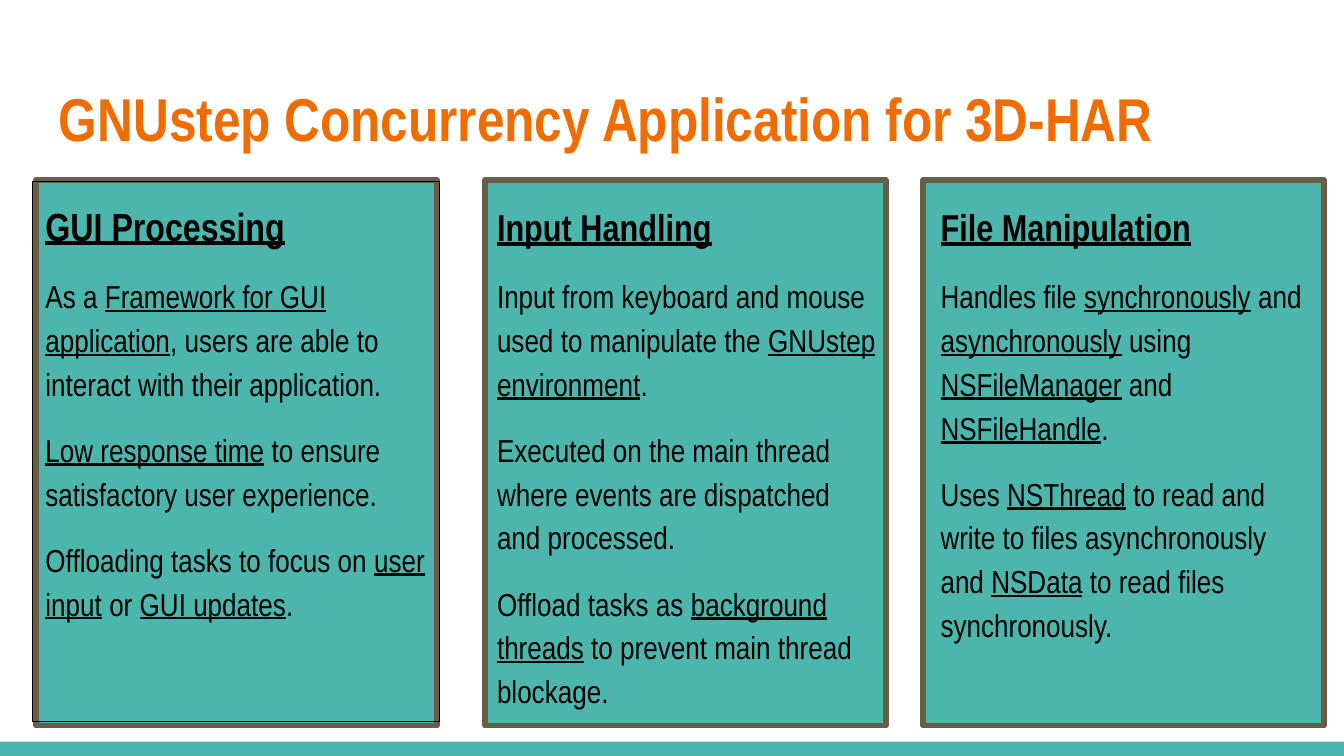
"""Build the slide on GNUstep concurrency for 3D-HAR."""
from pptx import Presentation
from pptx import util as u
from pptx.dml.color import RGBColor
from pptx.enum import shapes, text

Pt = u.Pt
TEAL = RGBColor(0x4D, 0xB6, 0xAC)
ORANGE = RGBColor(0xEF, 0x6C, 0x00)
BROWN = RGBColor(0x69, 0x5D, 0x46)
BLACK = RGBColor(0, 0, 0)
FONT = "Arial Narrow"

TOPICS = [
    (19.4, (17.3, 97.2, 218.2, 289.4), "GUI Processing", 21, [
        "As a _Framework for GUI application_, users are able to interact with their application.",
        "_Low response time_ to ensure satisfactory user experience.",
        "Offloading tasks to focus on _user input_ or _GUI updates_.",
    ]),
    (259.9, (259.2, 98.6, 218.2, 288.7), "Input Handling", 20, [
        "Input from keyboard and mouse used to manipulate the _GNUstep environment_.",
        "Executed on the main thread where events are dispatched and processed.",
        "Offload tasks as _background threads_ to prevent main thread blockage.",
    ]),
    (494.6, (496.8, 98.6, 211, 253.4), "File Manipulation", 20, [
        "Handles file _synchronously_ and _asynchronously_ using _NSFileManager_ and _NSFileHandle_.",
        "Uses _NSThread_ to read and write to files asynchronously and _NSData_ to read files synchronously.",
    ]),
]


def add_panel(left, top, width, height):
    panel = slide.shapes.add_shape(shapes.MSO_SHAPE.RECTANGLE, Pt(left), Pt(top), Pt(width), Pt(height))
    panel.shadow.inherit = False
    panel.fill.solid()
    panel.fill.fore_color.rgb = TEAL
    panel.line.fill.background()
    return panel


def add_text(left, top, width, height):
    box = slide.shapes.add_textbox(Pt(left), Pt(top), Pt(width), Pt(height))
    frame = box.text_frame
    frame.word_wrap = True
    frame.margin_left = frame.margin_right = frame.margin_top = frame.margin_bottom = Pt(7.2)
    return box


prs = Presentation()
prs.slide_width, prs.slide_height = Pt(720), Pt(405)
slide = prs.slides.add_slide(prs.slide_layouts[6])

add_panel(0, 397.4, 720, 7.6)

title = add_text(24.5, 35.3, 671, 55.4).text_frame
title.vertical_anchor = text.MSO_ANCHOR.MIDDLE
heading = title.paragraphs[0]
heading.text = "GNUstep Concurrency Application for 3D-HAR"
heading.font.name, heading.font.size, heading.font.bold = FONT, Pt(32.4), True
heading.font.color.rgb = ORANGE

for card_left, text_area, topic, topic_size, points in TOPICS:
    card = add_panel(card_left, 96.5, 214.6, 292.3)
    card.line.color.rgb = BROWN
    card.line.width = Pt(3)

    body = add_text(*text_area)
    if topic == "GUI Processing":
        body.line.color.rgb = BLACK
        body.line.width = Pt(0.75)

    heading = body.text_frame.paragraphs[0]
    heading.text = topic
    heading.line_spacing = 1.15
    heading.font.name, heading.font.size = FONT, Pt(topic_size)
    heading.font.bold = heading.font.underline = True
    heading.font.color.rgb = BLACK

    for point in points:
        paragraph = body.text_frame.add_paragraph()
        paragraph.line_spacing = 1.15
        paragraph.space_before = Pt(12)
        paragraph.font.name, paragraph.font.size = FONT, Pt(17)
        paragraph.font.color.rgb = BLACK
        for index, part in enumerate(point.split("_")):
            if part:
                run = paragraph.add_run()
                run.text = part
                if index % 2:
                    run.font.underline = True
    paragraph.space_after = Pt(12)

prs.save("out.pptx")
